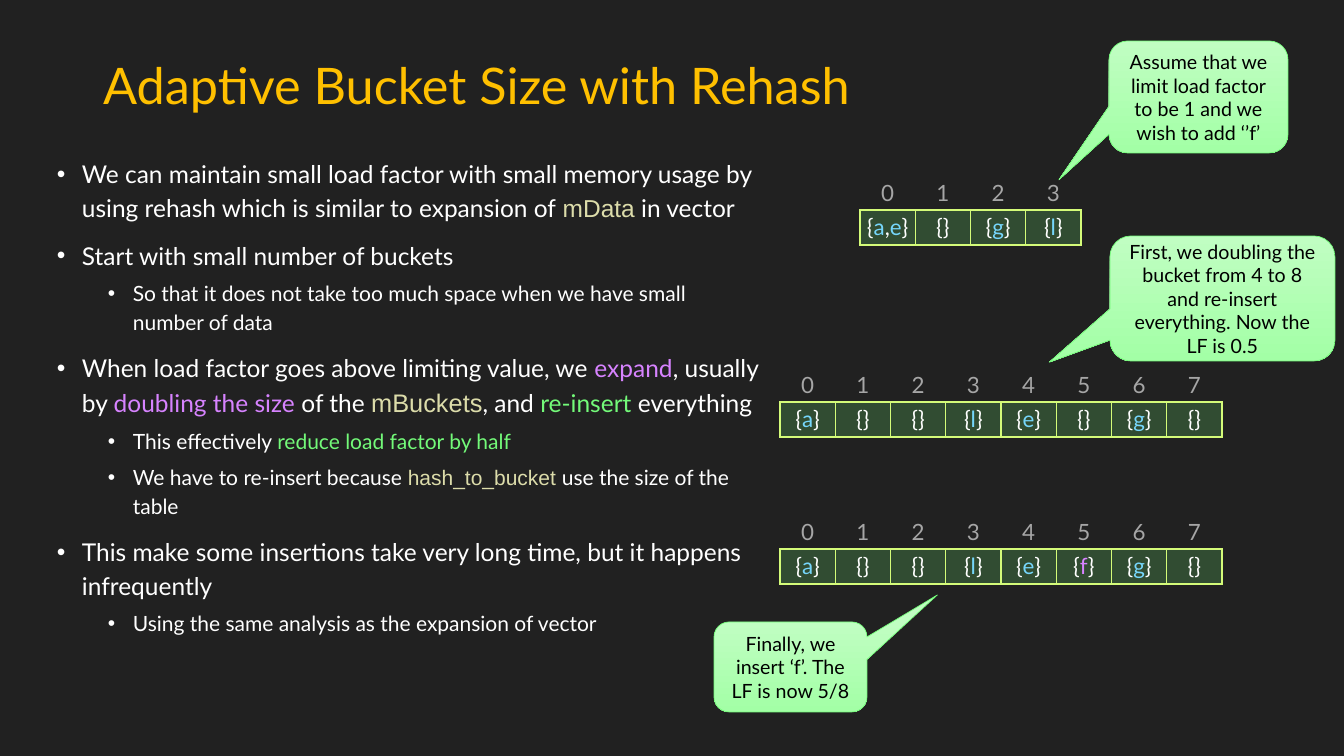
from lxml import etree
from pptx import Presentation
from pptx import util as u
from pptx.dml.color import RGBColor
from pptx.enum import shapes, text
from pptx.oxml import ns

EMU_PER_PX = 914400 / 100.8
FONT, CODE_FONT = "Lato", "Arial"
COLORS = {
    "background": "212121", "title": "FFC000", "plain": "FFFFFF", "code": "DCDCAA",
    "grow": "D783FF", "good": "73FA79", "key": "76D6FB", "index": "A6A6A6",
    "border": "D4FB79", "callout top": "C0FEC2", "callout bottom": "A3FFA6",
    "callout text": "000000",
}

TITLE = "Adaptive Bucket Size with Rehash"
TITLE_BOX = (93, 40, 1159, 96)
POINTS_BOX = (47, 150, 725, 553)
# (level, [(text, role, size if it differs from the level's)])
POINTS = [
    (0, [("We can maintain small load factor with small memory usage by using rehash "
          "which is similar to expansion of ", "plain"),
         ("mData", "code"), (" in vector", "plain")]),
    (0, [("Start with small number of buckets", "plain")]),
    (1, [("So that it does not take too much space when we have small number of data",
          "plain")]),
    (0, [("When load factor goes above limiting value, we ", "plain"),
         ("expand", "grow"), (", usually by ", "plain"),
         ("doubling the size ", "grow"), ("of the ", "plain"),
         ("mBuckets", "code", 18.1), (", and ", "plain"),
         ("re-insert ", "good"), ("everything", "plain")]),
    (1, [("This effectively ", "plain"), ("reduce load factor by half", "good")]),
    (1, [("We have to re-insert because ", "plain"), ("hash_to_bucket ", "code"),
         ("use the size of the table", "plain")]),
    (0, [("This make some insertions take very long time, but it happens infrequently",
          "plain")]),
    (1, [("Using the same analysis as the expansion of vector", "plain")]),
]
# size and space before in points, left margin in px
LEVELS = [{"size": 17.5, "before": 10, "margin": 25},
          {"size": 15, "before": 5, "margin": 76}]
BULLET_HANG = 25

# (left, top, width, keys in each bucket)
BUCKET_TABLES = [
    (860, 175, 221, ["a,e", "", "g", "l"]),
    (780, 367, 442, ["a", "", "", "l", "e", "", "g", ""]),
    (780, 514, 442, ["a", "", "", "l", "e", "f", "g", ""]),
]
NEW_KEY = "f"
ROW_HEIGHT, CELL_INSET = 35, 4
NO_STYLE = "{2D5ABB26-0587-4C30-8999-92F81FD0307C}"

# (text, box, pointer tip relative to the box)
CALLOUTS = [
    ("Assume that we limit load factor to be 1 and we wish to add ‘’f’",
     (1109, 41, 179, 112), (-0.78, 0.74)),
    ("First, we doubling the bucket from 4 to 8 and re-insert everything. "
     "Now the LF is 0.5", (1110, 236, 225, 125), (-0.77, 0.51)),
    ("Finally, we insert ‘f’. The LF is now 5/8",
     (714, 622, 153, 90), (0.96, -0.8)),
]


def px(length):
    return u.Emu(round(length * EMU_PER_PX))


def box_emu(box):
    return [px(length) for length in box]


def rgb(role):
    return RGBColor.from_string(COLORS[role])


def add_run(paragraph, words, role, size):
    run = paragraph.add_run()
    run.text = words
    run.font.name = CODE_FONT if role == "code" else FONT
    run.font.size = u.Pt(size)
    run.font.color.rgb = rgb(role)


def add_title(slide):
    title = slide.shapes.title
    title.left, title.top, title.width, title.height = box_emu(TITLE_BOX)
    frame = title.text_frame
    frame.auto_size = text.MSO_AUTO_SIZE.NONE
    frame.vertical_anchor = text.MSO_ANCHOR.MIDDLE
    paragraph = frame.paragraphs[0]
    paragraph.alignment = text.PP_ALIGN.LEFT
    paragraph.line_spacing = 0.9
    add_run(paragraph, TITLE, "title", 36)


def add_points(slide):
    frame = slide.shapes.add_textbox(*box_emu(POINTS_BOX)).text_frame
    frame.word_wrap = True
    for i, (level, runs) in enumerate(POINTS):
        style = LEVELS[level]
        paragraph = frame.add_paragraph() if i else frame.paragraphs[0]
        properties = paragraph._p.get_or_add_pPr()
        properties.set("marL", str(px(style["margin"])))
        properties.set("indent", str(-px(BULLET_HANG)))
        etree.SubElement(properties, ns.qn("a:buFont"), typeface="Arial")
        etree.SubElement(properties, ns.qn("a:buChar"), char="•")
        paragraph.level = level
        paragraph.line_spacing = 1.15
        paragraph.space_before = u.Pt(style["before"] if i else 0)
        for words, role, *size in runs:
            add_run(paragraph, words, role, size[0] if size else style["size"])


def add_borders(cell, sides):
    properties = cell._tc.get_or_add_tcPr()
    for side in sides:
        line = etree.SubElement(properties, ns.qn("a:ln" + side), w=str(u.Pt(1)))
        fill = etree.SubElement(line, ns.qn("a:solidFill"))
        etree.SubElement(fill, ns.qn("a:srgbClr"), val=COLORS["border"])


def start_cell(cell, anchor):
    """Set the cell's insets and anchor, and return its centred paragraph."""
    cell.margin_left = cell.margin_right = px(CELL_INSET)
    cell.margin_top = cell.margin_bottom = px(CELL_INSET)
    cell.vertical_anchor = anchor
    paragraph = cell.text_frame.paragraphs[0]
    paragraph.alignment = text.PP_ALIGN.CENTER
    return paragraph


def add_buckets(slide, left, top, width, buckets):
    frame = slide.shapes.add_table(
        2, len(buckets), *box_emu((left, top, width, 2 * ROW_HEIGHT)))
    table = frame.table
    table.first_row = table.horz_banding = False
    frame._element.xpath(".//a:tableStyleId")[0].text = NO_STYLE
    for column, keys in enumerate(buckets):
        index = table.cell(0, column)
        add_run(start_cell(index, text.MSO_ANCHOR.BOTTOM), str(column), "index", 16)
        add_borders(index, "B")
        index.fill.background()

        bucket = table.cell(1, column)
        paragraph = start_cell(bucket, text.MSO_ANCHOR.TOP)
        for mark in "{" + keys + "}":
            role = "plain" if mark in "{,}" else "grow" if mark == NEW_KEY else "key"
            add_run(paragraph, mark, role, 16)
        add_borders(bucket, "LRTB")
        bucket.fill.solid()
        bucket.fill.fore_color.rgb = rgb("good")
        tint = bucket._tc.tcPr.find(ns.qn("a:solidFill"))[0]
        etree.SubElement(tint, ns.qn("a:alpha"), val="20000")


def add_callout(slide, words, box, tip):
    callout = slide.shapes.add_shape(
        shapes.MSO_SHAPE.ROUNDED_RECTANGULAR_CALLOUT, *box_emu(box))
    callout.shadow.inherit = False
    callout.adjustments[0], callout.adjustments[1] = tip
    callout.fill.gradient()
    callout.fill.gradient_angle = 270
    for stop, role in zip(callout.fill.gradient_stops, ("callout top", "callout bottom")):
        stop.color.rgb = rgb(role)
    callout.line.color.rgb = rgb("good")
    callout.line.width = u.Pt(0.5)
    frame = callout.text_frame
    frame.word_wrap = True
    frame.vertical_anchor = text.MSO_ANCHOR.MIDDLE
    paragraph = frame.paragraphs[0]
    paragraph.alignment = text.PP_ALIGN.CENTER
    add_run(paragraph, words, "callout text", 14)


def main():
    deck = Presentation()
    deck.slide_width, deck.slide_height = px(1344), px(756)
    slide = deck.slides.add_slide(deck.slide_layouts.get_by_name("Title Only"))
    slide.background.fill.solid()
    slide.background.fill.fore_color.rgb = rgb("background")
    add_title(slide)
    add_points(slide)
    for bucket_table in BUCKET_TABLES:
        add_buckets(slide, *bucket_table)
    for callout in CALLOUTS:
        add_callout(slide, *callout)
    deck.save("out.pptx")


if __name__ == "__main__":
    main()
